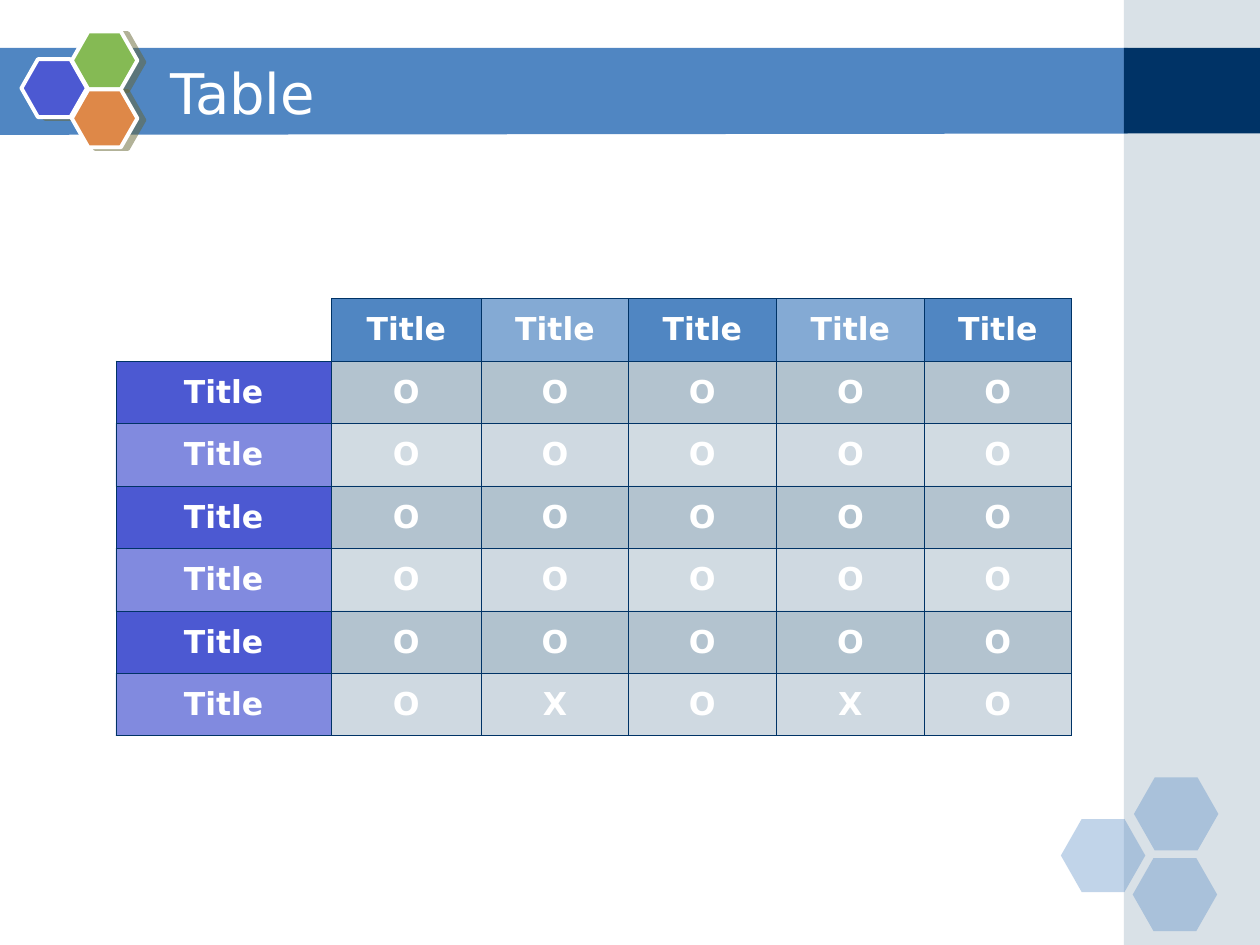
import pptx
import pptx.dml.color
import pptx.enum.shapes
import pptx.enum.text
import pptx.oxml
import pptx.oxml.ns
import pptx.util
from lxml import etree

Inches = pptx.util.Inches
Pt = pptx.util.Pt
RGB = pptx.dml.color.RGBColor.from_string
SHAPE = pptx.enum.shapes.MSO_SHAPE
ALIGN = pptx.enum.text.PP_ALIGN
MIDDLE = pptx.enum.text.MSO_ANCHOR.MIDDLE
qn = pptx.oxml.ns.qn

FONT = "DejaVu Sans"
COLORS = {
    "blue": "5086C2", "navy": "003366", "indigo": "4C59D2", "mist": "A0B5C4",
    "green": "85BA54", "orange": "DE8848", "white": "FFFFFF", "shade": "666633",
}
TITLE_FONT = {"name": FONT, "size": Pt(32), "bold": False}
CELL_FONT = {"name": FONT, "size": Pt(18), "bold": True}
COL_WIDTHS = [1.71, 1.19, 1.17, 1.17, 1.18, 1.16]
HEADER = ["", "Title", "Title", "Title", "Title", "Title"]
MARKS = ["OOOOO"] * 5 + ["OXOXO"]


def set_fill(fill, element, color, alpha=100):
    """Apply a solid fill, see-through when alpha is below 100 percent."""
    fill.solid()
    fill.fore_color.rgb = RGB(COLORS[color])
    if alpha < 100:
        clr = element.find(qn("a:solidFill")).find(qn("a:srgbClr"))
        etree.SubElement(clr, qn("a:alpha"), val=str(alpha * 1000))


def format_text(tf, text, font, align, before=0):
    """Write one white paragraph with the given font values."""
    p = tf.paragraphs[0]
    p.alignment = align
    p.space_before = Pt(before)
    r = p.add_run()
    r.text = text
    for name, value in font.items():
        setattr(r.font, name, value)
    r.font.color.rgb = RGB(COLORS["white"])


def style_shape(sp, color, alpha=100):
    """Give a shape a flat fill with no line or shadow."""
    sp.shadow.inherit = False
    sp.line.fill.background()
    set_fill(sp.fill, sp._element.spPr, color, alpha)


def add_block(shapes, kind, box, color, alpha=100):
    """Add a flat preset shape in a box given in inches."""
    sp = shapes.add_shape(kind, *map(Inches, box))
    style_shape(sp, color, alpha)
    return sp


def add_hexagon(shapes, box, color, alpha=100):
    """Add a regular hexagon."""
    sp = add_block(shapes, SHAPE.HEXAGON, box, color, alpha)
    sp.adjustments[0] = 0.285
    return sp


def add_band(shapes, left, top, width, height):
    """Draw the title band, its right end a little shorter."""
    right, bottom = left + width, top + height
    corners = [(right, top), (right, bottom - 0.01), (left, bottom)]
    fb = shapes.build_freeform(Inches(left), Inches(top), scale=1.0)
    fb.add_line_segments([(Inches(x), Inches(y)) for x, y in corners], close=True)
    style_shape(fb.convert_to_shape(), "blue")


def add_side_panel(shapes, left, top, width, height):
    """Draw the pale side panel and its dark block beside the band."""
    group = shapes.add_group_shape().shapes
    add_block(group, SHAPE.RECTANGLE, (left, top, width, height), "mist", 40)
    add_block(group, SHAPE.RECTANGLE, (left, top + 0.38, width, 0.68), "navy")


def add_corner_hexagons(shapes, left, top):
    """Draw three translucent hexagons in the lower corner."""
    for dx, dy in [(0, 0.33), (0.58, 0), (0.57, 0.64)]:
        add_hexagon(shapes, (left + dx, top + dy, 0.67, 0.58), "blue", 35)


def add_badge(shapes, left, top):
    """Draw the outlined hexagon cluster with its offset shadow."""
    group = shapes.add_group_shape().shapes
    for dx, dy, color in [(0, 0.22, "indigo"), (0.4, 0, "green"), (0.4, 0.46, "orange")]:
        sp = add_hexagon(group, (left + dx, top + dy, 0.52, 0.46), color)
        sp.line.color.rgb = RGB(COLORS["white"])
        sp.line.width = Pt(2.25)
        effects = sp._element.spPr.find(qn("a:effectLst"))
        shadow = etree.SubElement(effects, qn("a:outerShdw"), blurRad="0",
                                  dist=str(Pt(4.1)), dir=str(14 * 60000), rotWithShape="0")
        clr = etree.SubElement(shadow, qn("a:srgbClr"), val=COLORS["shade"])
        etree.SubElement(clr, qn("a:alpha"), val="50000")


def place_title(s, text, box):
    """Move the title placeholder over the band and format it."""
    sp = s.shapes.title
    sp.left, sp.top, sp.width, sp.height = map(Inches, box)
    tf = sp.text_frame
    tf.word_wrap = True
    tf.auto_size = pptx.enum.text.MSO_AUTO_SIZE.NONE
    tf.vertical_anchor = MIDDLE
    format_text(tf, text, TITLE_FONT, ALIGN.LEFT)
    s.shapes._spTree.append(sp._element)


def set_borders(cell, visible):
    """Draw thin borders on the visible sides and clear the others."""
    tcPr = cell._tc.get_or_add_tcPr()
    for i, side in enumerate("LRTB"):
        ln = etree.Element(qn(f"a:ln{side}"), w=str(Pt(0.45)))
        if side in visible:
            fill = etree.SubElement(ln, qn("a:solidFill"))
            etree.SubElement(fill, qn("a:srgbClr"), val=COLORS["navy"])
        else:
            etree.SubElement(ln, qn("a:noFill"))
        tcPr.insert(i, ln)


def cell_fill(row, col):
    """Return the colour and alpha that alternate over the table."""
    if row == 0:
        return "blue", 100 if col % 2 else 70
    if col == 0:
        return "indigo", 100 if row % 2 else 70
    if row == len(MARKS):
        return "mist", 50
    return "mist", (80 if row % 2 else 48) + (0 if col % 2 else 2)


def add_mark_table(shapes, left, top, width, height):
    """Build the table of marks with row and column titles."""
    rows = [HEADER] + [["Title", *marks] for marks in MARKS]
    box = map(Inches, (left, top, width, height))
    table = shapes.add_table(len(rows), len(HEADER), *box).table
    table.first_row = table.horz_banding = False
    for column, col_width in zip(table.columns, COL_WIDTHS):
        column.width = Inches(col_width)
    for i, row in enumerate(rows):
        for j, text in enumerate(row):
            cell = table.cell(i, j)
            if text:
                cell.vertical_anchor = MIDDLE
                format_text(cell.text_frame, text, CELL_FONT, ALIGN.CENTER, 4.5)
                set_fill(cell.fill, cell._tc.get_or_add_tcPr(), *cell_fill(i, j))
            else:
                cell.fill.background()
            set_borders(cell, "LRTB" if text else "RB")


def main():
    """Build the table slide and save it."""
    prs = pptx.Presentation()
    prs.slide_width, prs.slide_height = Inches(10), Inches(7.5)
    s = prs.slides.add_slide(prs.slide_layouts.get_by_name("Title Only"))
    add_band(s.shapes, -0.01, 0.38, 8.96, 0.69)
    add_side_panel(s.shapes, 8.92, 0, 1.08, 7.5)
    add_corner_hexagons(s.shapes, 8.42, 6.17)
    add_badge(s.shapes, 0.17, 0.25)
    place_title(s, "Table", (1.25, 0.42, 7.33, 0.62))
    add_mark_table(s.shapes, 0.92, 2.37, 7.58, 3.47)
    prs.save("out.pptx")


if __name__ == "__main__":
    main()
